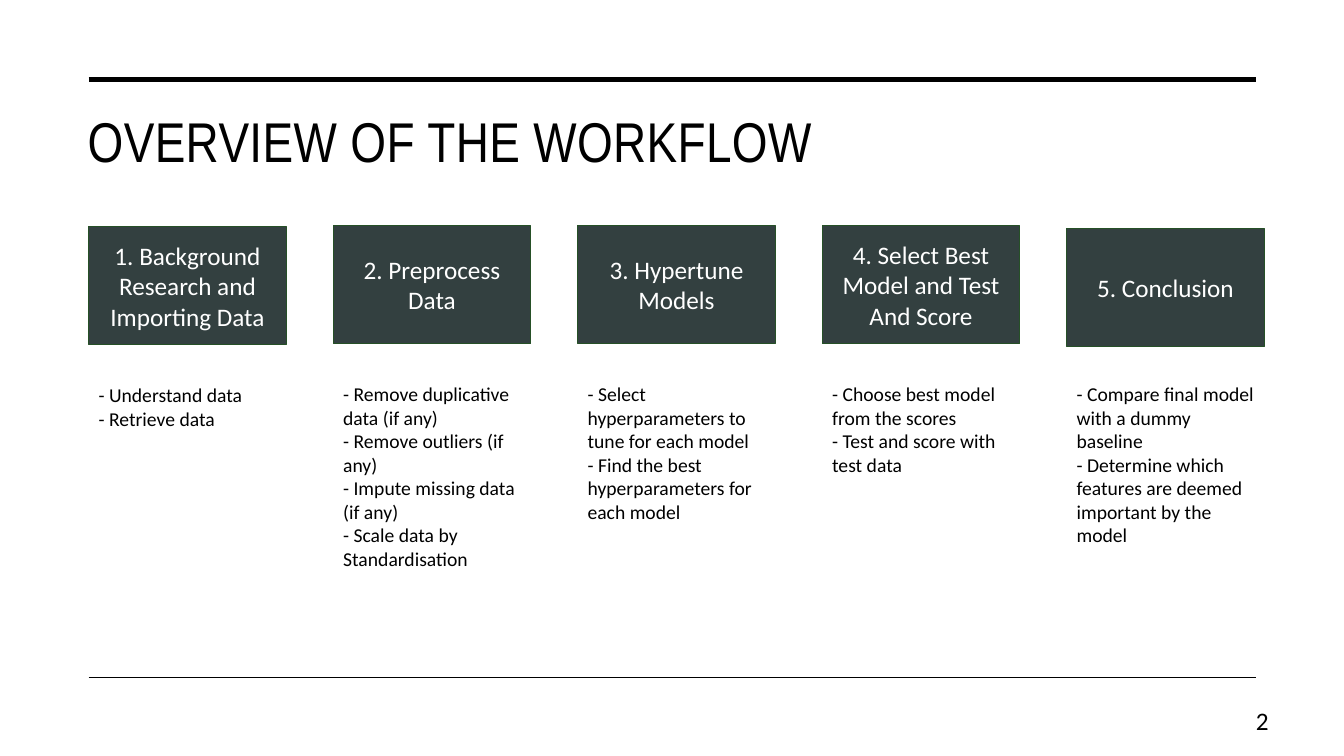
from pptx import Presentation
from pptx.dml.color import RGBColor
from pptx.enum.shapes import MSO_CONNECTOR as Connector, MSO_SHAPE as Shape
from pptx.enum.text import MSO_ANCHOR as Anchor, MSO_AUTO_SIZE as AutoSize, PP_ALIGN as Align
from pptx.oxml.ns import qn
from pptx.util import Inches, Pt
from lxml.etree import SubElement

COLORS = {"ink": "000000", "paper": "FFFFFF", "step": "334040", "edge": "265027"}
LEFT, RIGHT = 0.88, 12.46
STEP_PITCH, STEP_WIDTH, STEP_HEIGHT = 2.425, 1.96, 1.17
STEPS = [
    ("1. Background Research and Importing Data", 2.25,
     ["- Understand data", "- Retrieve data"], 3.75, 0.57),
    ("2. Preprocess Data", 2.24,
     ["- Remove duplicative data (if any)", "- Remove outliers (if any)",
      "- Impute missing data (if any)", "- Scale data by Standardisation"], 3.74, 1.99),
    ("3. Hypertune Models", 2.24,
     ["- Select hyperparameters to tune for each model",
      "- Find the best hyperparameters for each model"], 3.74, 1.51),
    ("4. Select Best Model and Test And Score", 2.24,
     ["- Choose best model from the scores", "- Test and score with test data"], 3.74, 1.04),
    ("5. Conclusion", 2.27,
     ["- Compare final model with a dummy baseline",
      "- Determine which features are deemed important by the model"], 3.74, 1.75),
]


def color(name):
    return RGBColor.from_string(COLORS[name])


def write(frame, lines, size, ink="ink", align=Align.LEFT, font="Calibri"):
    frame.word_wrap = True
    for index, line in enumerate(lines):
        para = frame.add_paragraph() if index else frame.paragraphs[0]
        para.alignment = align
        span = para.add_run()
        span.text = line
        span.font.name = font
        span.font.size = Pt(size)
        span.font.color.rgb = color(ink)


def add_rule(page, top, weight):
    rule = page.shapes.add_connector(
        Connector.STRAIGHT, Inches(LEFT), Inches(top), Inches(RIGHT), Inches(top))
    rule.line.color.rgb = color("ink")
    rule.line.width = Pt(weight)
    SubElement(rule.element.spPr, qn("a:effectLst"))


def add_title(page, left, top, width, height):
    title = page.shapes.title
    title.left, title.top = Inches(left), Inches(top)
    title.width, title.height = Inches(width), Inches(height)
    frame = title.text_frame
    frame.auto_size = AutoSize.NONE
    frame.vertical_anchor = Anchor.TOP
    write(frame, ["OVERVIEW OF THE WORKFLOW"], 40, font="Arial Narrow")
    frame.paragraphs[0].runs[0].font._element.set("spc", "30")


def add_step(page, left, top, width, height, heading):
    step = page.shapes.add_shape(
        Shape.RECTANGLE, Inches(left), Inches(top), Inches(width), Inches(height))
    step.shadow.inherit = False
    step.fill.solid()
    step.fill.fore_color.rgb = color("step")
    step.line.color.rgb = color("edge")
    step.line.width = Pt(1)
    step.text_frame.vertical_anchor = Anchor.MIDDLE
    write(step.text_frame, [heading], 18, "paper", Align.CENTER)


def add_text(page, left, top, width, height):
    box = page.shapes.add_textbox(Inches(left), Inches(top), Inches(width), Inches(height))
    return box.text_frame


def add_tasks(page, left, top, width, height, tasks):
    frame = add_text(page, left, top, width, height)
    write(frame, tasks, 14)
    frame.auto_size = AutoSize.SHAPE_TO_FIT_TEXT


def add_page_number(page, left, top, width, height):
    frame = add_text(page, left, top, width, height)
    frame.vertical_anchor = Anchor.MIDDLE
    write(frame, ["2"], 18, align=Align.RIGHT)


def main():
    deck = Presentation()
    deck.slide_width, deck.slide_height = Inches(13.33), Inches(7.5)
    page = deck.slides.add_slide(deck.slide_layouts[5])
    page.background.fill.solid()
    page.background.fill.fore_color.rgb = color("paper")
    add_rule(page, 0.79, 3.5)
    add_rule(page, 6.72, 1)
    add_title(page, 0.77, 1.01, 11.69, 1.5)
    add_page_number(page, 11.94, 6.95, 0.74, 0.4)
    for index, (heading, step_top, tasks, tasks_top, tasks_height) in enumerate(STEPS):
        left = LEFT + index * STEP_PITCH
        add_step(page, left, step_top, STEP_WIDTH, STEP_HEIGHT, heading)
        add_tasks(page, left, tasks_top, STEP_WIDTH, tasks_height, tasks)
    deck.save("out.pptx")


if __name__ == "__main__":
    main()
